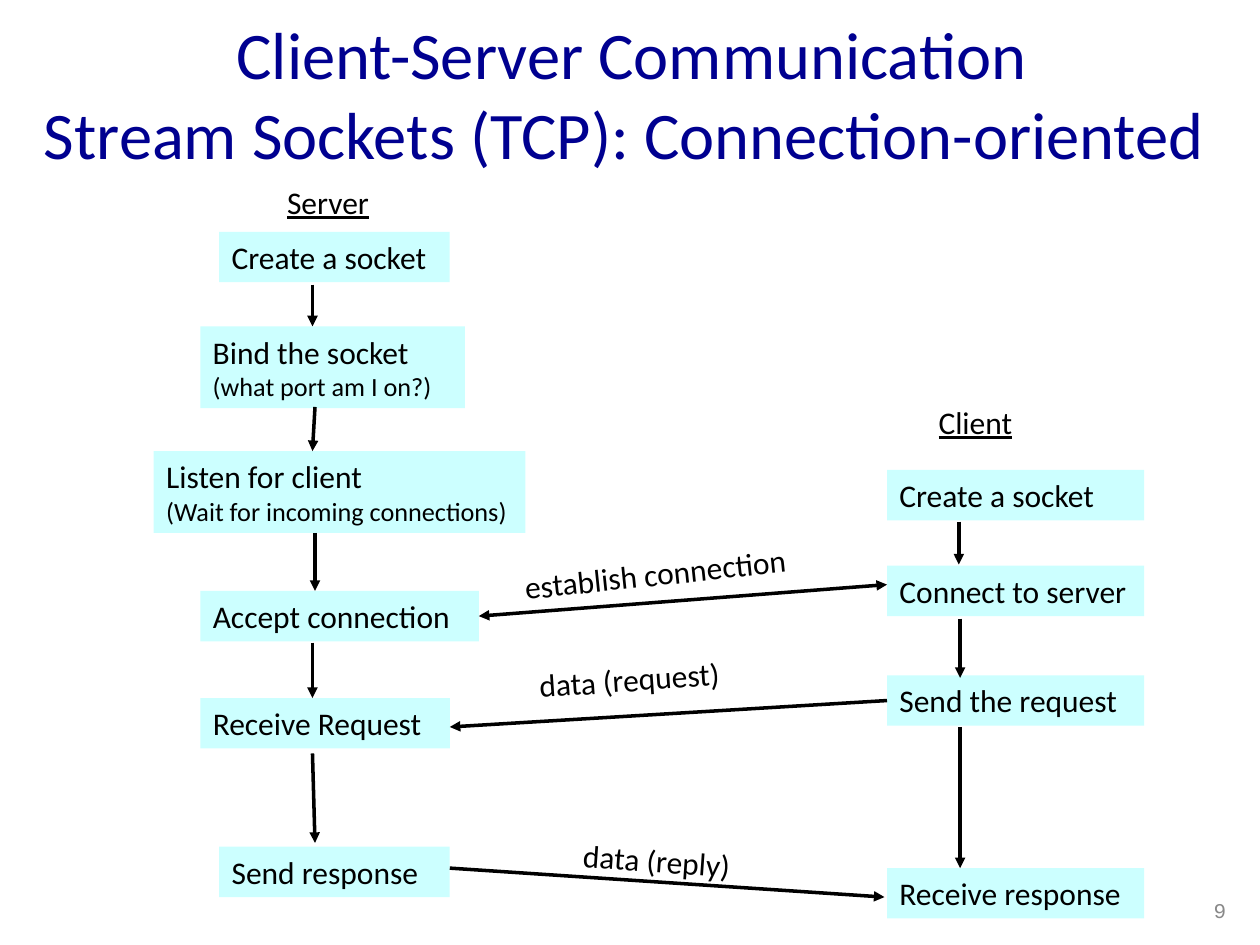
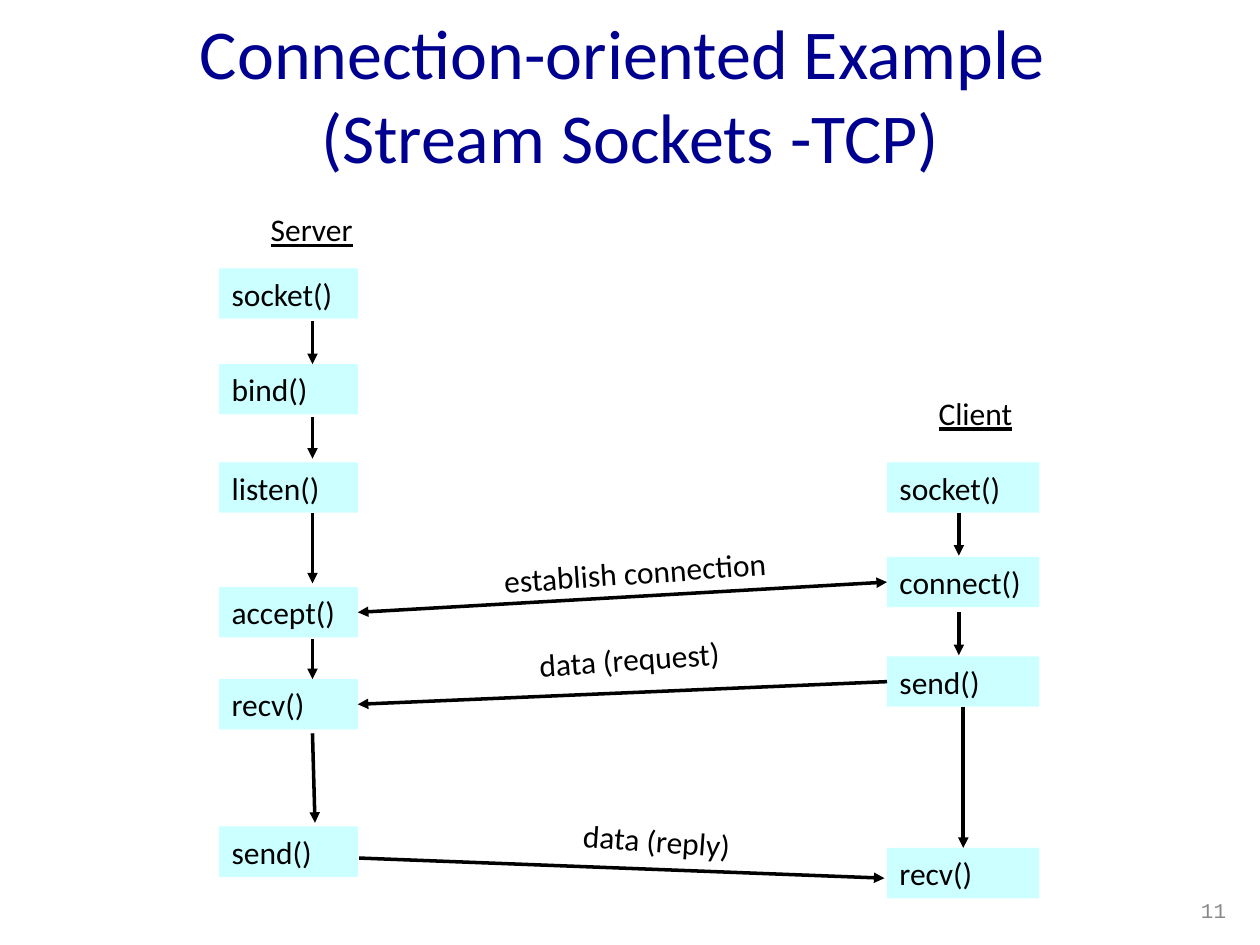
import pptx
import pptx.util
import pptx.dml.color
import pptx.enum.shapes
import pptx.enum.text
import pptx.oxml.ns
import lxml.etree

# Shared look
NAVY, BLACK, GREY, AQUA = "000090", "000000", "898989", "CCFFFF"
BODY_FONT, NUMBER_FONT = "Calibri", "Courier New"
ALIGN = pptx.enum.text.PP_ALIGN
ANCHOR = pptx.enum.text.MSO_ANCHOR

# Grid: 100 columns by 75 rows of square cells
COLUMNS, ROWS = 100, 75
CELL = pptx.util.Inches(0.1)
LINE_ROWS = 4           # height of a box with one line
TWO_LINE_ROWS = 6.5     # height of a box with a second, smaller line
SERVER_X, CLIENT_LEFT = 24.8, 70.4
JOIN_REACH = 0.25       # an end this near a side's middle is joined to it


def cells(n):
    return int(round(n * CELL))


def color(value):
    return pptx.dml.color.RGBColor.from_string(value)


def write(sp, text, size=18, hex_color=BLACK, font=BODY_FONT, align=ALIGN.LEFT,
          anchor=ANCHOR.TOP, underline=False, wrap=True, small_size=15):
    """Fill a shape with text; paragraphs after the first take small_size."""
    tf = sp.text_frame
    tf.word_wrap = wrap
    tf.vertical_anchor = anchor
    for i, line in enumerate(text.split("\n")):
        p = tf.add_paragraph() if i else tf.paragraphs[0]
        p.alignment = align
        r = p.add_run()
        r.text = line
        r.font.size = pptx.util.Pt(small_size if i else size)
        r.font.name = font
        r.font.color.rgb = color(hex_color)
        r.font.underline = underline


def add_text(s, text, x, y, w, h=LINE_ROWS, rotation=0, **style):
    sp = s.shapes.add_textbox(cells(x), cells(y), cells(w), cells(h))
    sp.rotation = rotation
    write(sp, text, **style)
    return sp


def add_title(s, text, x, w, size):
    sp = add_text(s, text, x, 0.8, w, 12.5, size=size, small_size=size,
                  hex_color=NAVY, align=ALIGN.CENTER, anchor=ANCHOR.MIDDLE)
    sp.text_frame.margin_top = cells(0.7)
    sp.text_frame.margin_bottom = 0


def add_step(s, text, x, y, w):
    h = TWO_LINE_ROWS if "\n" in text else LINE_ROWS
    sp = s.shapes.add_shape(pptx.enum.shapes.MSO_SHAPE.RECTANGLE,
                            cells(x), cells(y), cells(w), cells(h))
    sp.shadow.inherit = False
    sp.fill.solid()
    sp.fill.fore_color.rgb = color(AQUA)
    sp.line.fill.background()
    write(sp, text)
    return sp


def find_side(steps, x, y):
    """Return the step and side whose middle lies at this end, if any."""
    for sp in steps:
        mid_x, mid_y = sp.left + sp.width // 2, sp.top + sp.height // 2
        middles = [(mid_x, sp.top), (sp.left, mid_y),
                   (mid_x, sp.top + sp.height), (sp.left + sp.width, mid_y)]
        for side, (mx, my) in enumerate(middles):
            if max(abs(mx - cells(x)), abs(my - cells(y))) <= cells(JOIN_REACH):
                return sp, side
    return None


def add_arrow(s, steps, x1, y1, x2, y2, both_ways=False):
    c = s.shapes.add_connector(pptx.enum.shapes.MSO_CONNECTOR.STRAIGHT,
                               cells(x1), cells(y1), cells(x2), cells(y2))
    start, end = find_side(steps, x1, y1), find_side(steps, x2, y2)
    if start:
        c.begin_connect(*start)
    if end:
        c.end_connect(*end)
    c.line.color.rgb = color(BLACK)
    c.line.width = pptx.util.Pt(2)
    qn = pptx.oxml.ns.qn
    ln = c.line._get_or_add_ln()
    for tag in ["a:headEnd", "a:tailEnd"] if both_ways else ["a:tailEnd"]:
        lxml.etree.SubElement(ln, qn(tag), type="triangle")
    lxml.etree.SubElement(c._element.spPr, qn("a:effectLst"))


def add_flow(prs, title, number, headings, server, client, down, messages, labels):
    s = prs.slides.add_slide(prs.slide_layouts[6])
    add_title(s, *title)
    for text, x, y, w in headings:
        add_text(s, text, x, y, w, underline=True, wrap=False)

    # Steps of both sides
    steps = [add_step(s, *step) for step in server]
    client_width, client_steps = client
    steps += [add_step(s, text, CLIENT_LEFT, y, client_width)
              for text, y in client_steps]

    # Arrows down each side, then messages between the sides
    for x1, y1, x2, y2 in down:
        add_arrow(s, steps, x1, y1, x2, y2)
    for i, ends in enumerate(messages):
        add_arrow(s, steps, *ends, both_ways=i == 0)
    for text, x, y, w, rotation in labels:
        add_text(s, text, x, y, w, rotation=rotation, wrap=False)

    add_text(s, number, 75, 70.2, 23.3, size=12, hex_color=GREY,
             font=NUMBER_FONT, align=ALIGN.RIGHT, anchor=ANCHOR.MIDDLE)


def main():
    prs = pptx.Presentation()
    prs.slide_width, prs.slide_height = cells(COLUMNS), cells(ROWS)

    # Concept: what each side does
    add_flow(
        prs,
        title=("Client-Server Communication\n"
               "Stream Sockets (TCP): Connection-oriented ", 1.8, 96.7, 38),
        number="9",
        headings=[("Server", 21.8, 14, 8.5), ("Client", 73.5, 31.5, 7.9)],
        server=[("Create a socket", 17.4, 18.4, 18.3),
                ("Bind the socket\n(what port am I on?)", 15.9, 25.9, 21),
                ("Listen for client\n(Wait for incoming connections)",
                 12.2, 35.8, 29.5),
                ("Accept connection", 15.9, 46.9, 22.1),
                ("Receive Request", 15.9, 55.4, 19.8),
                ("Send response", 17.4, 67.2, 18.3)],
        client=(20.4, [("Create a socket", 37.3), ("Connect to server", 44.9),
                       ("Send the request", 53.6), ("Receive response", 68.9)]),
        down=[(SERVER_X, 22.6, SERVER_X, 25.9), (25, 32.3, SERVER_X, 35.8),
              (25, 42.3, 25, 46.9), (SERVER_X, 51, SERVER_X, 55.4),
              (SERVER_X, 59.8, 25, 66.9), (76.1, 41.4, 76.1, 44.8),
              (76.2, 49.1, 76.2, 53.8), (76.2, 57.7, 76.2, 68.9)],
        messages=[(70.4, 46.4, 38, 48.9), (70.2, 55.4, 35.7, 57.7),
                  (35.7, 68.9, 70.2, 71.2)],
        labels=[("establish connection", 40.6, 43.5, 22.8, 353.9),
                ("data (request)", 41.8, 51.9, 16.4, 356),
                ("data (reply)", 45.3, 66.3, 13.7, 4.1)])

    # Example: the calls each side makes
    calls = [("socket()", 21.3), ("bind()", 28.9), ("listen()", 36.7),
             ("accept()", 46.6), ("recv()", 53.9), ("send()", 65.6)]
    add_flow(
        prs,
        title=("Connection-oriented Example \n(Stream Sockets -TCP)", 5, 90, 40),
        number="11",
        headings=[("Server", 20.5, 16.2, 8.5), ("Client", 73.5, 30.8, 7.9)],
        server=[(call, 17.4, y, 11) for call, y in calls],
        client=(12.1, [("socket()", 36.7), ("connect()", 44.2),
                       ("send()", 52.1), ("recv()", 67.3)]),
        down=[(SERVER_X, 25.5, SERVER_X, 28.9), (SERVER_X, 33.1, SERVER_X, 36.4),
              (SERVER_X, 40.7, SERVER_X, 46.3), (SERVER_X, 50.7, SERVER_X, 53.9),
              (SERVER_X, 58.2, 25, 65.3), (76.1, 40.7, 76.1, 44.1),
              (76.1, 48.6, 76.1, 52), (76.2, 56.1, 76.2, 67.3)],
        messages=[(70.2, 46.3, 28.4, 48.6), (70.2, 53.9, 28.5, 56.1),
                  (28.5, 68.1, 70.2, 69.7)],
        labels=[("establish connection", 39, 43.4, 22.8, 356),
                ("data (request)", 41.8, 50.3, 16.4, 356),
                ("data (reply)", 45.3, 64.7, 13.7, 4.1)])

    prs.save("out.pptx")


if __name__ == "__main__":
    main()
